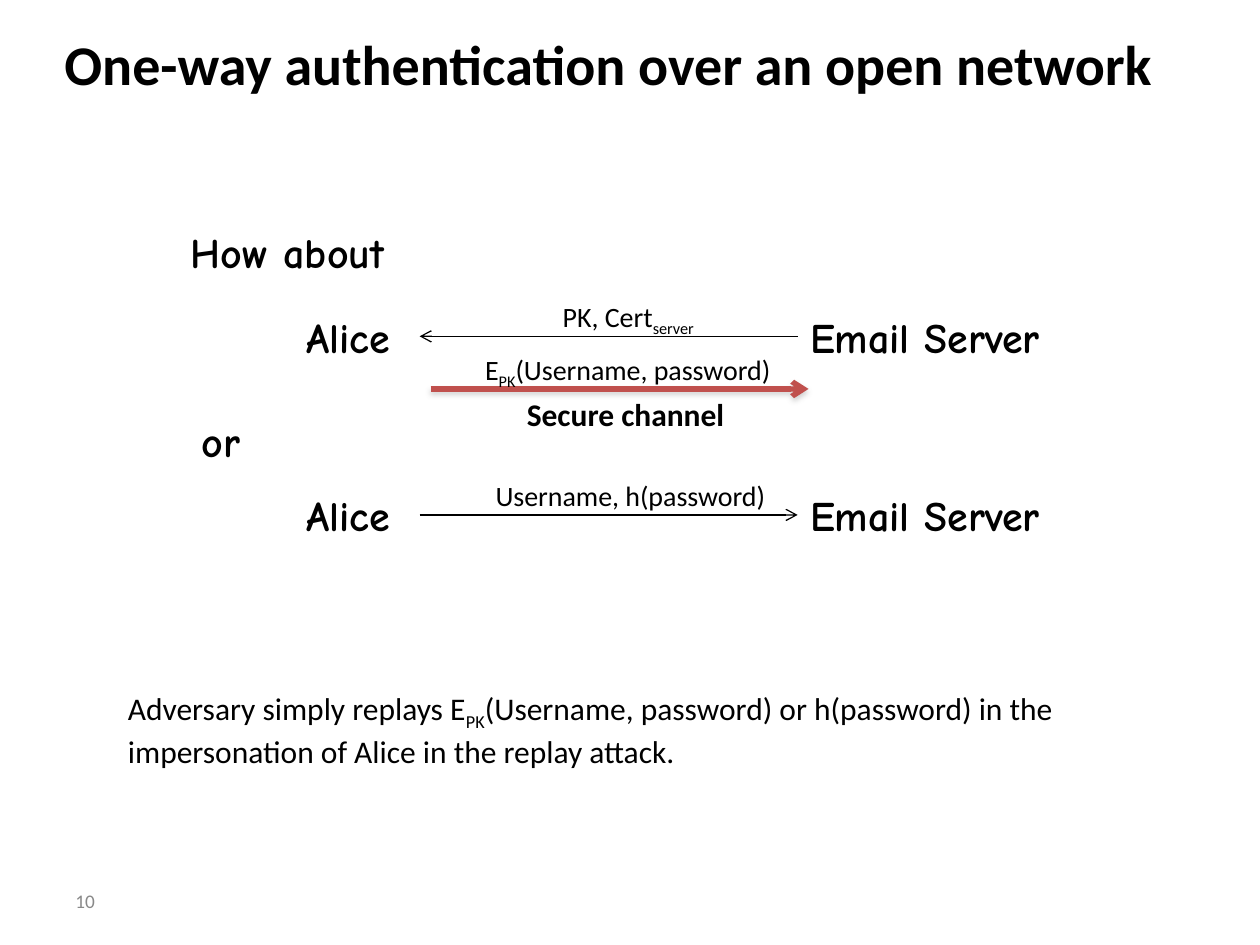
from dataclasses import dataclass
from typing import Any

from lxml.etree import SubElement
from pptx import Presentation
from pptx.dml.color import RGBColor
from pptx.enum.shapes import MSO_CONNECTOR
from pptx.enum.text import MSO_ANCHOR, MSO_AUTO_SIZE, PP_ALIGN
from pptx.oxml.ns import qn
from pptx.util import Cm, Pt

COLORS = {"text": "000000", "secure": "C0504D", "number": "898989", "shadow": "808080"}
BODY_FONT = "Calibri"
HAND_FONT = "Comic Neue"
ALICE_X, SERVER_X = 5.92, 16.08
ARROW_LEFT, ARROW_RIGHT = 8.46, 16.08


@dataclass
class SlideWriter:
    slide: Any
    colors: dict

    def format(self, paragraph, size, font=BODY_FONT, bold=False, color="text"):
        paragraph.font.name = font
        paragraph.font.size = Pt(size)
        paragraph.font.bold = bold
        paragraph.font.color.rgb = RGBColor.from_string(self.colors[color])

    def title(self, text, left, top, width, height):
        title = self.slide.shapes.title
        title.left, title.top, title.width, title.height = map(Cm, (left, top, width, height))
        title.text_frame.text = text
        title.text_frame.vertical_anchor = MSO_ANCHOR.MIDDLE
        paragraph = title.text_frame.paragraphs[0]
        paragraph.alignment = PP_ALIGN.CENTER
        self.format(paragraph, 32, bold=True)

    def text(self, parts, left, top, width, height, size=16, wrap=False,
             align=PP_ALIGN.LEFT, anchor=MSO_ANCHOR.TOP, **style):
        """Add a text box; every second one of the parts is a subscript."""
        box = self.slide.shapes.add_textbox(*map(Cm, (left, top, width, height)))
        frame = box.text_frame
        frame.word_wrap = wrap
        frame.auto_size = MSO_AUTO_SIZE.NONE
        frame.vertical_anchor = anchor
        paragraph = frame.paragraphs[0]
        paragraph.alignment = align
        self.format(paragraph, size, **style)
        for index, part in enumerate(parts):
            run = paragraph.add_run()
            run.text = part
            if index % 2:
                run.font._element.set("baseline", "-25000")

    def hand_text(self, text, left, top, width):
        self.text([text], left, top, width, 1.3, size=24, font=HAND_FONT, bold=True)

    def arrow(self, start, end, y, color="text", weight=0.75, shadow=False):
        line = self.slide.shapes.add_connector(
            MSO_CONNECTOR.STRAIGHT, Cm(start), Cm(y), Cm(end), Cm(y))
        line.line.color.rgb = RGBColor.from_string(self.colors[color])
        line.line.width = Pt(weight)
        SubElement(line.line._get_or_add_ln(), qn("a:tailEnd"), type="arrow")
        effects = SubElement(line._element.spPr, qn("a:effectLst"))
        if shadow:
            outer = SubElement(effects, qn("a:outerShdw"), blurRad=str(Pt(3.1)),
                               dist=str(Pt(1.8)), dir="5400000", rotWithShape="0")
            tint = SubElement(outer, qn("a:srgbClr"), val=self.colors["shadow"])
            SubElement(tint, qn("a:alpha"), val="35000")

    def parties(self, top):
        self.hand_text("Alice", ALICE_X, top, 2.54)
        self.hand_text("Email Server", SERVER_X, top, 5.82)


def main():
    presentation = Presentation()
    presentation.slide_width, presentation.slide_height = Cm(25.4), Cm(19.05)
    title_only = presentation.slide_layouts[5]
    writer = SlideWriter(presentation.slides.add_slide(title_only), COLORS)

    writer.title("One-way authentication over an open network", 0.84, 0, 22.86, 2.54)

    writer.hand_text("How about", 3.6, 4.45, 4.85)
    writer.parties(6.15)
    writer.arrow(ARROW_RIGHT, ARROW_LEFT, 6.78)
    writer.text(["PK, Cert", "server"], 11, 5.92, 3.33, 0.94, align=PP_ALIGN.CENTER)
    writer.arrow(ARROW_LEFT + 0.22, ARROW_RIGHT + 0.22, 7.84,
                 color="secure", weight=3, shadow=True)
    writer.text(["E", "PK", "(Username, password)"], 9.53, 6.99, 6.6, 0.94)
    writer.text(["Secure channel"], 10.37, 7.83, 4.52, 1.02, size=18, bold=True)

    writer.hand_text("or", 3.81, 8.26, 1.37)
    writer.parties(9.74)
    writer.arrow(ARROW_LEFT, ARROW_RIGHT, 10.38)
    writer.text(["Username, h(password)"], 9.74, 9.53, 6.02, 0.94)

    writer.text(["Adversary simply replays E", "PK",
                 "(Username, password) or h(password) in the "
                 "impersonation of Alice in the replay attack."],
                2.33, 13.76, 21.39, 1.8, size=18, wrap=True)
    writer.text(["10"], 1.27, 17.66, 5.92, 1.01, size=11, wrap=True,
                anchor=MSO_ANCHOR.MIDDLE, color="number")

    presentation.save("out.pptx")


if __name__ == "__main__":
    main()
